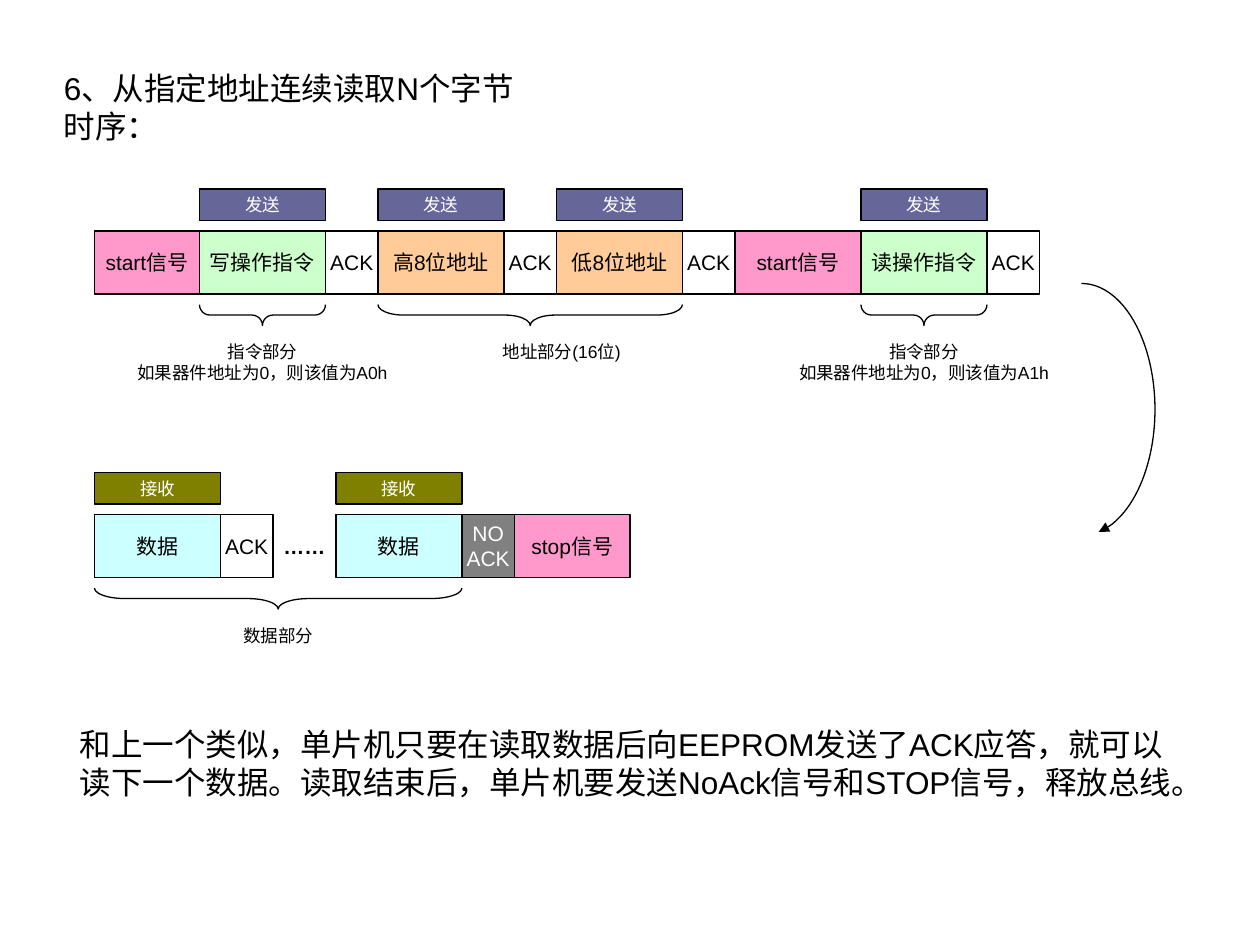
from dataclasses import dataclass

from lxml.etree import SubElement
from pptx import Presentation
from pptx.dml.color import RGBColor
from pptx.enum.shapes import MSO_SHAPE
from pptx.enum.text import MSO_ANCHOR, MSO_AUTO_SIZE, PP_ALIGN
from pptx.oxml.ns import qn
from pptx.util import Inches, Pt


@dataclass(frozen=True)
class Theme:
    font: str = "Arial"
    black: str = "000000"
    white: str = "FFFFFF"
    signal: str = "FF99CC"
    command: str = "CCFFCC"
    address: str = "FFCC99"
    data: str = "CCFFFF"
    no_ack: str = "808080"
    send: str = "666699"
    receive: str = "808000"
    body_size: int = 18
    cell_size: int = 12
    note_size: int = 10
    line_width: float = 0.75


theme = Theme()
UNIT = Inches(1) / 12  # the slide is a grid of 120 columns by 90 rows


def add_outline(preset, left, top, width, height, fill=None):
    """Add a preset shape in grid units, black outlined, unfilled by default."""
    shape = slide.shapes.add_shape(
        preset, *(round(value * UNIT) for value in (left, top, width, height)))
    shape.shadow.inherit = False
    shape.line.color.rgb = RGBColor.from_string(theme.black)
    shape.line.width = Pt(theme.line_width)
    if fill:
        shape.fill.solid()
        shape.fill.fore_color.rgb = RGBColor.from_string(fill)
    else:
        shape.fill.background()
    return shape


def add_text(text, left, top, width, height, size, color=theme.black, fill=None,
             bold=False, centred=True):
    """Write text in a filled cell, or in a plain text box when there is no fill."""
    if fill:
        shape = add_outline(MSO_SHAPE.RECTANGLE, left, top, width, height, fill)
    else:
        shape = slide.shapes.add_textbox(
            *(round(value * UNIT) for value in (left, top, width, height)))
    frame = shape.text_frame
    frame.text = text
    frame.word_wrap = False
    frame.auto_size = MSO_AUTO_SIZE.NONE if centred else MSO_AUTO_SIZE.SHAPE_TO_FIT_TEXT
    frame.vertical_anchor = MSO_ANCHOR.MIDDLE if centred else MSO_ANCHOR.TOP
    for paragraph in frame.paragraphs:
        paragraph.alignment = PP_ALIGN.CENTER if centred else PP_ALIGN.LEFT
        for run in paragraph.runs:
            run.font.name = theme.font
            run.font.size = Pt(size)
            run.font.bold = bold
            run.font.color.rgb = RGBColor.from_string(color)


presentation = Presentation()
presentation.slide_width = Inches(10)
presentation.slide_height = Inches(7.5)
slide = presentation.slides.add_slide(presentation.slide_layouts[6])

add_text("6、从指定地址连续读取N个字节\n时序：", 4.9, 6, 47.4, 8.4,
         theme.body_size, centred=False)

# Cells: text, columns wide, fill, tag above
ack = ("ACK", 5, theme.white, None)
request_cells = [
    ("start信号", 10, theme.signal, None),
    ("写操作指令", 12, theme.command, "发送"), ack,
    ("高8位地址", 12, theme.address, "发送"), ack,
    ("低8位地址", 12, theme.address, "发送"), ack,
    ("start信号", 12, theme.signal, None),
    ("读操作指令", 12, theme.command, "发送"), ack,
]
reply_cells = [
    ("数据", 12, theme.data, "接收"), ack,
    ("……", 6, None, None),
    ("数据", 12, theme.data, "接收"),
    ("NO\nACK", 5, theme.no_ack, None),
    ("stop信号", 11, theme.signal, None),
]
# Braces: left, width, note, centre of note, note width
request_braces = [
    (19, 12, "指令部分\n如果器件地址为0，则该值为A0h", 25, 30),
    (36, 29, "地址部分(16位)", 53.5, 35),
    (82, 12, "指令部分\n如果器件地址为0，则该值为A1h", 88, 30),
]
reply_braces = [(9, 35, "数据部分", 26.5, 15)]

for top, cells, braces, tag_fill in (
        (18, request_cells, request_braces, theme.send),
        (45, reply_cells, reply_braces, theme.receive)):
    left = 9
    for text, width, fill, tag in cells:
        color = theme.white if fill == theme.no_ack else theme.black
        add_text(text, left, top + 4, width, 6, theme.cell_size, color, fill,
                 bold=fill is None)
        if tag:
            add_text(tag, left, top, width, 3, theme.note_size, theme.white, tag_fill)
        left += width

    for left, width, note, centre, note_width in braces:
        # A left brace turned to point down: its box is upright around the same centre
        brace = add_outline(MSO_SHAPE.LEFT_BRACE, left + width / 2 - 1,
                            top + 12 - width / 2, 2, width)
        brace.rotation = 270
        brace.adjustments[0] = width / 24
        add_text(note, centre - note_width / 2, top + 14, note_width,
                 3 + 2 * note.count("\n"), theme.note_size)

# Arc angles are clockwise from the right, in units of 0.6 per degree
arc = add_outline(MSO_SHAPE.ARC, 96, 27, 14, 24)
arc.adjustments[0] = 270 * 0.6
arc.adjustments[1] = 82 * 0.6
SubElement(arc.line._get_or_add_ln(), qn("a:tailEnd"), type="triangle")

add_text("和上一个类似，单片机只要在读取数据后向EEPROM发送了ACK应答，就可以\n"
         "读下一个数据。读取结束后，单片机要发送NoAck信号和STOP信号，释放总线。",
         6.4, 68.5, 112.2, 8.4, theme.body_size, centred=False)

presentation.save("out.pptx")
